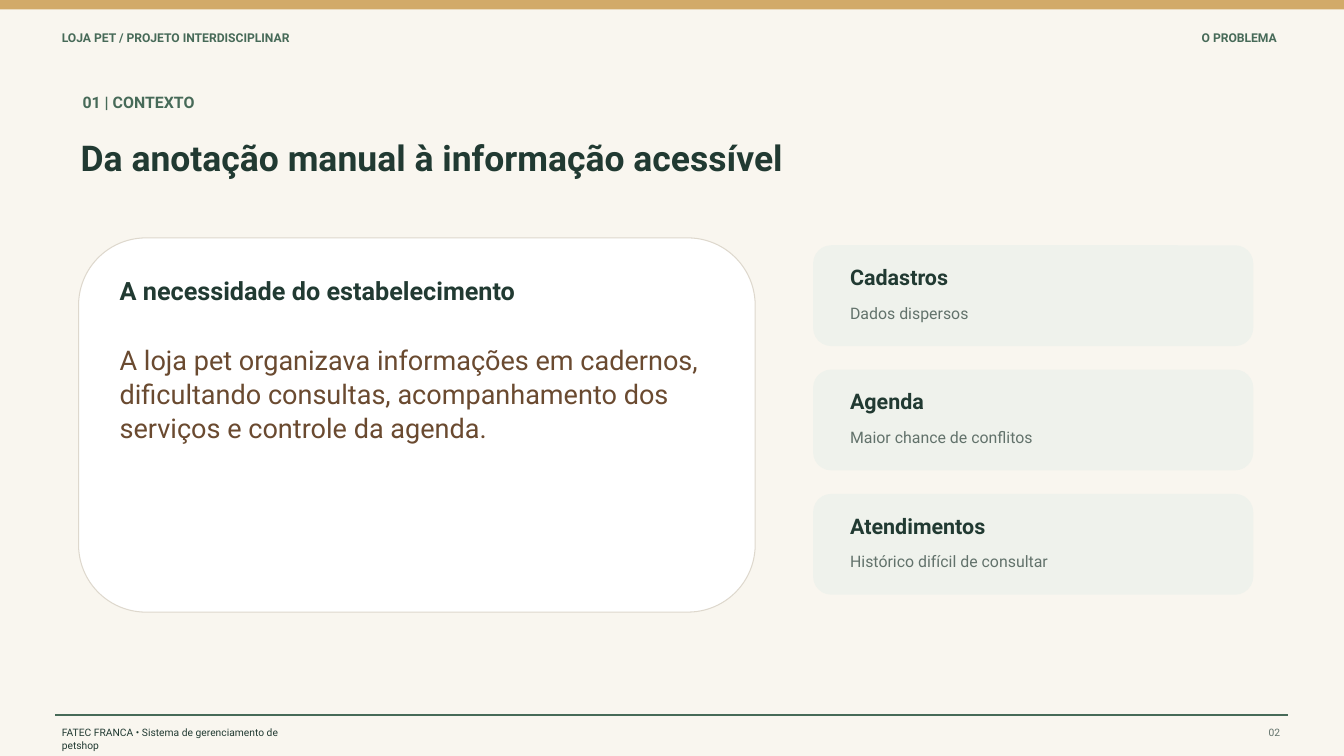
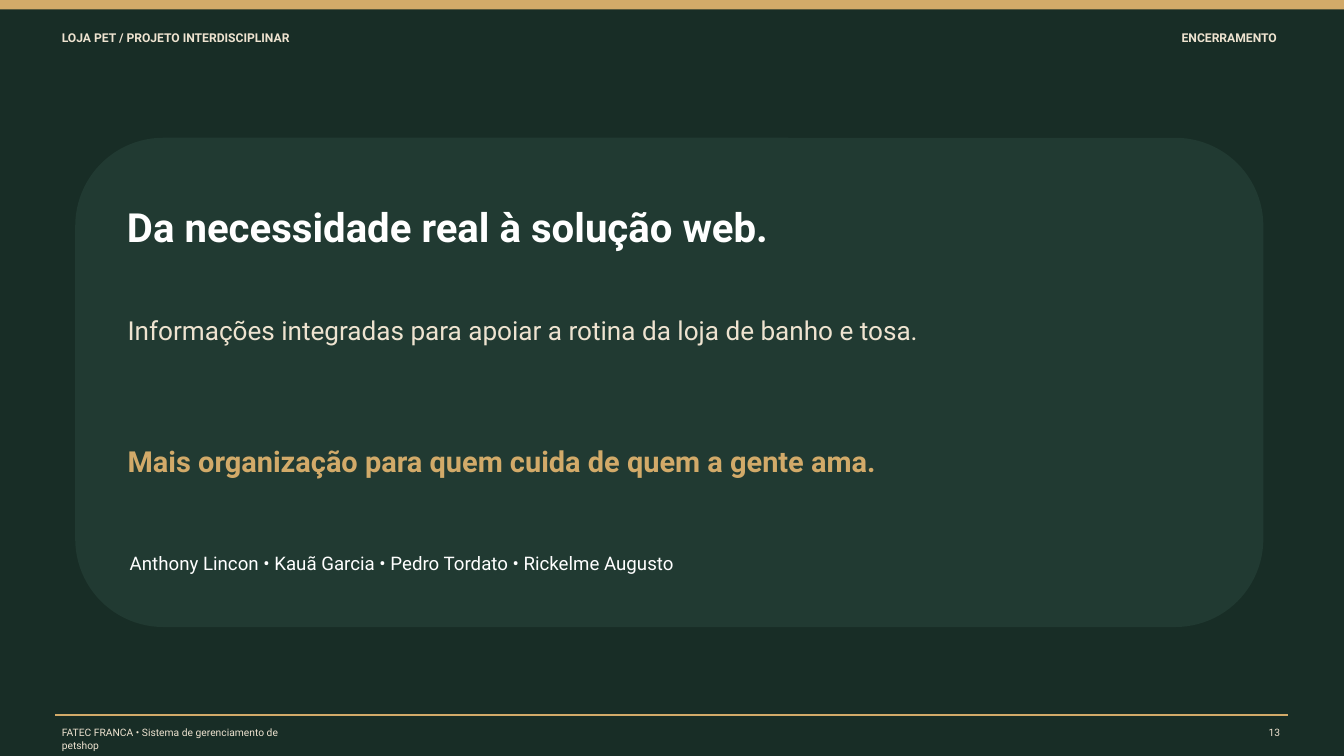
from dataclasses import dataclass, field
from lxml.etree import SubElement
from pptx import Presentation
from pptx.dml.color import RGBColor
from pptx.enum.shapes import MSO_CONNECTOR, MSO_SHAPE
from pptx.enum.text import MSO_AUTO_SIZE, PP_ALIGN
from pptx.oxml.ns import qn
from pptx.util import Pt

BRAND = "LOJA PET / PROJETO INTERDISCIPLINAR"
FOOT = "FATEC FRANCA • Sistema de gerenciamento de petshop"

NEED = {
    "topic": "O PROBLEMA",
    "page": "02",
    "tag": "01 | CONTEXTO",
    "title": "Da anotação manual à informação acessível",
    "head": "A necessidade do estabelecimento",
    "body": "A loja pet organizava informações em cadernos, dificultando "
            "consultas, acompanhamento dos serviços e controle da agenda.",
    "cards": [
        ("Cadastros", "Dados dispersos"),
        ("Agenda", "Maior chance de conflitos"),
        ("Atendimentos", "Histórico difícil de consultar"),
    ],
}

CLOSE = {
    "topic": "ENCERRAMENTO",
    "page": "13",
    "title": "Da necessidade real à solução web.",
    "lead": "Informações integradas para apoiar a rotina da loja de banho e tosa.",
    "motto": "Mais organização para quem cuida de quem a gente ama.",
    "team": ["Anthony Lincon", "Kauã Garcia", "Pedro Tordato", "Rickelme Augusto"],
}


@dataclass(frozen=True)
class Theme:
    font: str = "Roboto"
    cream: str = "F9F6EF"
    night: str = "182D26"
    gold: str = "D2AA69"
    moss: str = "476A58"
    pine: str = "213A32"
    sand: str = "EEE3D0"
    gray: str = "62726B"
    brown: str = "6A4A30"
    mint: str = "EFF2EC"
    edge: str = "DED8CD"
    white: str = "FFFFFF"
    curve: float = 0.18
    type: dict = field(default_factory=lambda: {
        "band": (13, 16.4, True),
        "foot": (11, 13.9, False),
        "tag": (17, 21.4, True),
        "title": (38, 47.9, True),
        "head": (27, 34, True),
        "body": (29, 36.5, False),
        "card": (23, 29, True),
        "note": (17, 21.4, False),
        "close": (43, 54.2, True),
        "lead": (28, 35.3, False),
        "motto": (31, 39, True),
        "team": (20, 25.2, False),
    })


THEME = Theme()
WIDE, HIGH = 1440, 810
LIGHT = {"back": THEME.cream, "band": THEME.moss, "rule": THEME.moss,
         "foot": THEME.pine, "page": THEME.gray}
DARK = {"back": THEME.night, "band": THEME.sand, "rule": THEME.gold,
        "foot": THEME.sand, "page": THEME.sand}


def tint(code):
    return RGBColor.from_string(code)


def write(slide, text, kind, tone, box, align=PP_ALIGN.LEFT):
    frame = slide.shapes.add_textbox(*map(Pt, box)).text_frame
    frame.margin_left = frame.margin_right = 0
    frame.margin_top = frame.margin_bottom = 0
    frame.word_wrap = True
    frame.auto_size = MSO_AUTO_SIZE.SHAPE_TO_FIT_TEXT
    size, lead, bold = THEME.type[kind]
    line = frame.paragraphs[0]
    line.text = text
    line.alignment = align
    line.line_spacing = Pt(lead)
    font = line.font
    font.name, font.size, font.bold = THEME.font, Pt(size), bold
    font.color.rgb = tint(tone)


def block(slide, tone, box, edge=None, form=MSO_SHAPE.ROUNDED_RECTANGLE):
    shape = slide.shapes.add_shape(form, *map(Pt, box))
    shape.shadow.inherit = False
    shape.fill.solid()
    shape.fill.fore_color.rgb = tint(tone)
    if form == MSO_SHAPE.ROUNDED_RECTANGLE:
        shape.adjustments[0] = THEME.curve
    if edge:
        shape.line.color.rgb = tint(edge)
        shape.line.width = Pt(1.1)
    else:
        shape.line.fill.background()


def rule(slide, tone, left, right, top):
    line = slide.shapes.add_connector(
        MSO_CONNECTOR.STRAIGHT, Pt(left), Pt(top), Pt(right), Pt(top))
    line.line.color.rgb = tint(tone)
    line.line.width = Pt(1.5)
    SubElement(line._element.spPr, qn("a:effectLst"))


def start(deck, data, look):
    slide = deck.slides.add_slide(deck.slide_layouts[6])
    fill = slide.background.fill
    fill.solid()
    fill.fore_color.rgb = tint(look["back"])
    block(slide, THEME.gold, (0, 0, WIDE, 10), form=MSO_SHAPE.RECTANGLE)
    write(slide, BRAND, "band", look["band"], (66.24, 31.68, 705.6, 18.72))
    write(slide, data["topic"], "band", look["band"],
          (1087.2, 31.68, 280.8, 18.72), PP_ALIGN.RIGHT)
    rule(slide, look["rule"], 59, 1380.2, 766.1)
    write(slide, FOOT, "foot", look["foot"], (66.24, 777.6, 268.5, 13))
    write(slide, data["page"], "foot", look["page"],
          (1346.4, 777.6, 25.2, 14.4), PP_ALIGN.RIGHT)
    return slide


def need(deck):
    slide = start(deck, NEED, LIGHT)
    write(slide, NEED["tag"], "tag", THEME.moss, (88.5, 97.9, 1065.6, 26.6))
    write(slide, NEED["title"], "title", THEME.pine, (86.4, 143.3, 1274.4, 69.8))
    block(slide, THEME.white, (84.2, 254.9, 725, 401), THEME.edge)
    write(slide, NEED["head"], "head", THEME.pine, (128.2, 293.8, 604.8, 33.8))
    write(slide, NEED["body"], "body", THEME.brown, (128.2, 366.5, 626.4, 188))
    left, tall, gap = 871.2, 108, 25.2
    for step, (name, note) in enumerate(NEED["cards"]):
        top = 262.8 + step * (tall + gap)
        block(slide, THEME.mint, (left, top, 471.6, tall))
        write(slide, name, "card", THEME.pine, (left + 39.6, top + 18.7, 410.4, 26))
        write(slide, note, "note", THEME.gray, (left + 39.6, top + 61.2, 406.8, 23))


def close(deck):
    slide = start(deck, CLOSE, DARK)
    block(slide, THEME.pine, (80.6, 147.6, 1273, 524.2))
    write(slide, CLOSE["title"], "close", THEME.white, (136.1, 214.6, 1137.6, 80))
    write(slide, CLOSE["lead"], "lead", THEME.sand, (136.8, 334.8, 1108.8, 93.6))
    write(slide, CLOSE["motto"], "motto", THEME.gold, (136.8, 473.8, 1101.6, 64.8))
    write(slide, " • ".join(CLOSE["team"]), "team", THEME.white,
          (139, 589.7, 1094.4, 30.2))


def main():
    deck = Presentation()
    deck.slide_width, deck.slide_height = Pt(WIDE), Pt(HIGH)
    need(deck)
    close(deck)
    deck.save("out.pptx")


if __name__ == "__main__":
    main()
